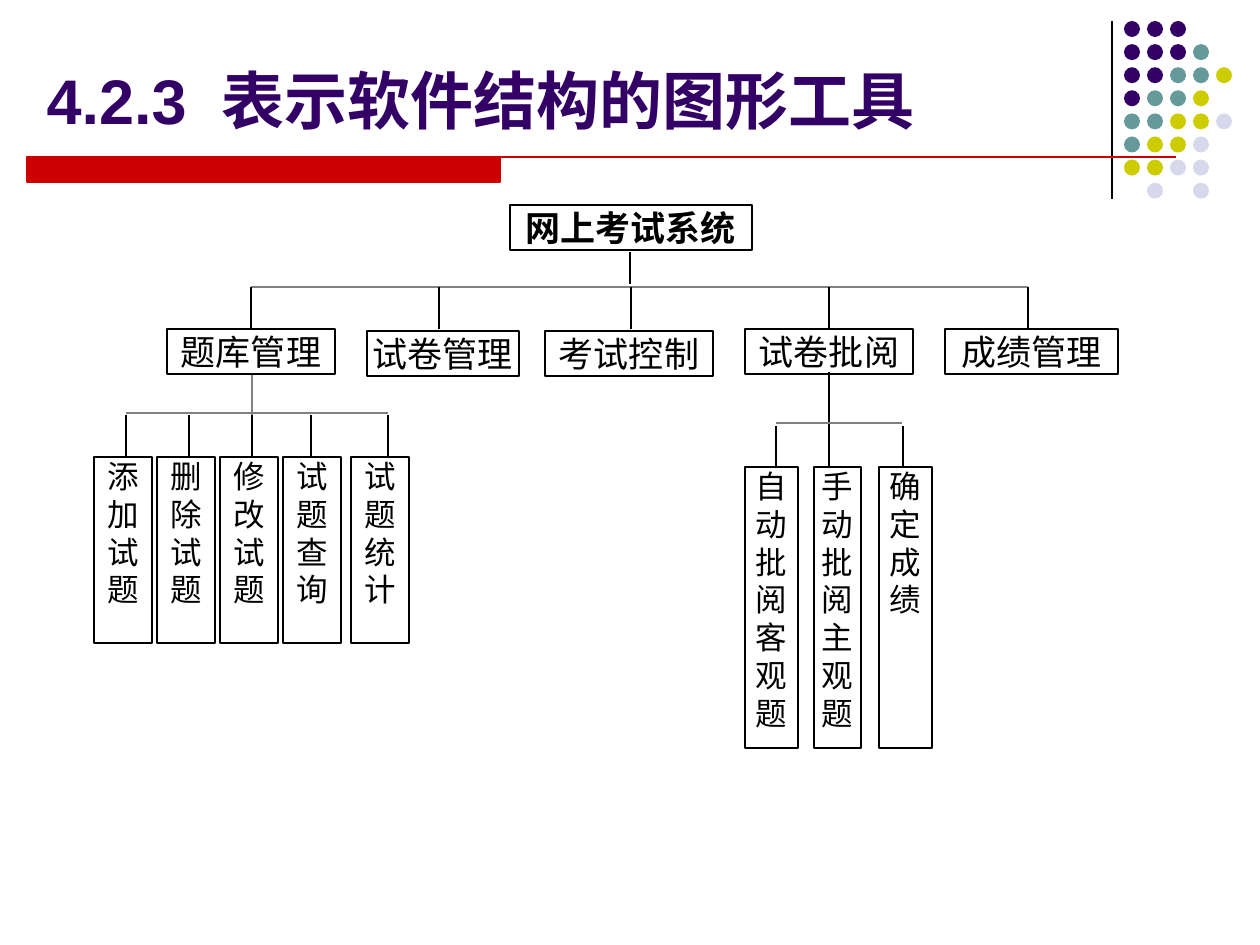
import pptx
import pptx.util
import pptx.dml.color
import pptx.enum.shapes
import pptx.enum.text
import lxml.etree

PX = 914400 / 126
A = "{http://schemas.openxmlformats.org/drawingml/2006/main}"
COLORS = {
    "purple": "330066", "teal": "669999", "olive": "CCCC00", "lilac": "D8D8EC",
    "red": "CC0000", "black": "000000", "gray": "808080", "white": "FFFFFF",
}
RGB = {name: pptx.dml.color.RGBColor.from_string(c) for name, c in COLORS.items()}
SHAPE = pptx.enum.shapes.MSO_SHAPE
FIT = pptx.enum.text.MSO_AUTO_SIZE
ANCHOR = pptx.enum.text.MSO_ANCHOR

prs = pptx.Presentation()
prs.slide_width = pptx.util.Inches(10)
prs.slide_height = pptx.util.Inches(7.5)
s = prs.slides.add_slide(prs.slide_layouts[5])


def add_line(x1, y1, x2, y2, color="black"):
    ends = [round(v * PX) for v in (x1, y1, x2, y2)]
    line = s.shapes.add_connector(pptx.enum.shapes.MSO_CONNECTOR.STRAIGHT, *ends)
    line.line.color.rgb = RGB[color]
    line.line.width = pptx.util.Pt(0.75)
    lxml.etree.SubElement(line._element.spPr, A + "effectLst")


def add_box(x, y, w, h, lines, size, inset=(0, 0), bold=False, fit=FIT.NONE):
    sp = s.shapes.add_shape(SHAPE.RECTANGLE, *[round(v * PX) for v in (x, y, w, h)])
    sp.shadow.inherit = False
    sp.fill.solid()
    sp.fill.fore_color.rgb = RGB["white"]
    sp.line.color.rgb = RGB["black"]
    sp.line.width = pptx.util.Pt(0.75)
    tf = sp.text_frame
    tf.word_wrap = True
    tf.auto_size = fit
    tf.vertical_anchor = ANCHOR.TOP
    tf.margin_left = tf.margin_right = round(inset[0] * PX)
    tf.margin_top = tf.margin_bottom = round(inset[1] * PX)
    for i, text in enumerate(lines):
        p = tf.paragraphs[0] if i == 0 else tf.add_paragraph()
        p.alignment = pptx.enum.text.PP_ALIGN.CENTER
        r = p.add_run()
        r.text = text
        r.font.name = "Times New Roman"
        r.font.size = pptx.util.Pt(size)
        r.font.bold = bold
        r.font.color.rgb = RGB["black"]


# Corner decoration: vertical rule and dot grid
add_line(1112, 21, 1112, 199)
dot_colors = {"P": "purple", "T": "teal", "Y": "olive", "L": "lilac"}
dot_rows = ["PPP", "PPPT", "PPTTY", "PTTY", "TTYYL", "TYYL", "YYLL", " L L"]
for row, codes in enumerate(dot_rows):
    for col, code in enumerate(codes):
        if code in dot_colors:
            sp = s.shapes.add_shape(
                SHAPE.OVAL, round((1124 + 23 * col) * PX), round((21 + 23.1 * row) * PX),
                round(16 * PX), round(16 * PX))
            sp.shadow.inherit = False
            sp.fill.solid()
            sp.fill.fore_color.rgb = RGB[dot_colors[code]]
            sp.line.fill.background()

# Red bar with its thin rule
fb = s.shapes.build_freeform(27, 157, scale=PX)
fb.add_line_segments([(500, 157), (500, 182), (27, 182)], close=True)
fb.move_to(27, 157)
fb.add_line_segments([(1176, 157)], close=False)
bar = fb.convert_to_shape()
bar.shadow.inherit = False
bar.fill.solid()
bar.fill.fore_color.rgb = RGB["red"]
bar.line.color.rgb = RGB["red"]
bar.line.width = pptx.util.Pt(0.75)

# Title
title = s.shapes.title
title.left, title.top = round(34 * PX), round(35 * PX)
title.width, title.height = round(1030 * PX), round(108 * PX)
tf = title.text_frame
tf.word_wrap = True
tf.auto_size = FIT.NONE
tf.vertical_anchor = ANCHOR.BOTTOM
p = tf.paragraphs[0]
p.alignment = pptx.enum.text.PP_ALIGN.LEFT
r = p.add_run()
r.text = "4.2.3  表示软件结构的图形工具"
r.font.name = "Arial"
r.font.size = pptx.util.Pt(36)
r.font.bold = True
r.font.color.rgb = RGB["purple"]

# System and its modules
add_box(510, 205, 242, 45, ["网上考试系统"], 20, (2, 1), True, FIT.SHAPE_TO_FIT_TEXT)
modules = [
    (167, 329, 168, "题库管理"), (367, 331, 152, "试卷管理"), (545, 331, 168, "考试控制"),
    (745, 329, 168, "试卷批阅"), (945, 329, 173, "成绩管理"),
]
for x, y, w, name in modules:
    add_box(x, y, w, 45, [name], 20, (2, 1), fit=FIT.SHAPE_TO_FIT_TEXT)

# Functions of the question bank and of the marking module
bank = [(94, ["添加试题"]), (157, ["删除试题"]), (220, ["修改试题"]),
        (283, ["试题", "查询"]), (351, ["试题", "统计"])]
for x, lines in bank:
    add_box(x, 457, 58, 186, lines, 18)
for x, w, name in [(745, 53, "自动批阅客观题"), (814, 47, "手动批阅主观题"), (879, 53, "确定成绩")]:
    add_box(x, 467, w, 281, [name], 18)

# Trunks and horizontal branches
add_line(630, 252, 630, 284)
add_line(251, 287, 1028, 287, "gray")
add_line(252, 375, 252, 417, "gray")
add_line(126, 413, 388, 413, "gray")
add_line(829, 372, 829, 445)
add_line(776, 423, 902, 423, "gray")

# Drops from each branch to the boxes below it
drops = [
    (287, 329, [251, 439, 631, 829, 1028]),
    (415, 457, [126, 189, 252, 311, 388]),
    (426, 467, [776, 829, 903]),
]
for top, bottom, xs in drops:
    for x in xs:
        add_line(x, top, x, bottom)

prs.save("out.pptx")
